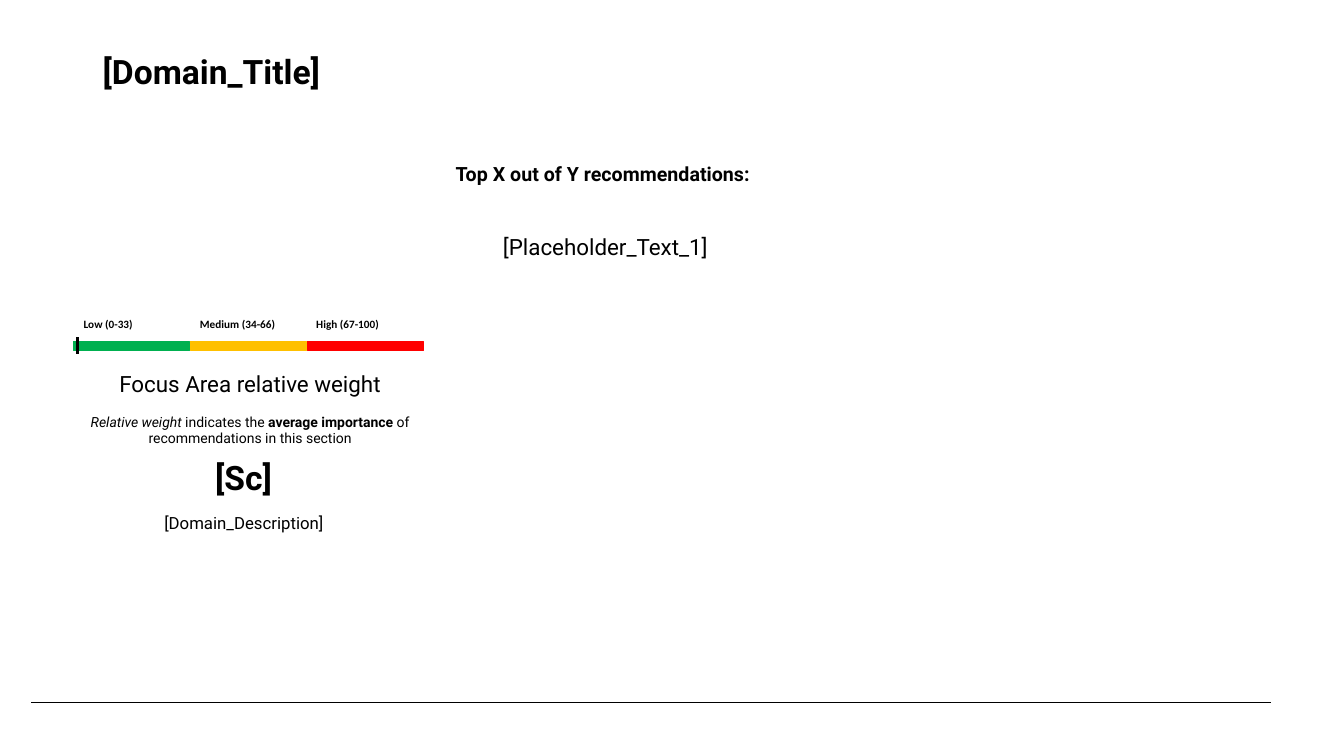
from pptx import Presentation
from pptx.dml.color import RGBColor
from pptx.enum.shapes import MSO_CONNECTOR, MSO_SHAPE
from pptx.enum.text import MSO_AUTO_SIZE, PP_ALIGN
from pptx.oxml.ns import qn
from pptx.util import Inches, Pt
from lxml import etree

STRAIGHT = MSO_CONNECTOR.STRAIGHT
RECTANGLE = MSO_SHAPE.RECTANGLE
GROW = MSO_AUTO_SIZE.SHAPE_TO_FIT_TEXT
LEFT, CENTER = PP_ALIGN.LEFT, PP_ALIGN.CENTER

COLORS = {
    "ink": "000000",
    "low": "00B050",
    "medium": "FFC000",
    "high": "FF0000",
}
LEVELS = [
    ("Low (0-33)", "low"),
    ("Medium (34-66)", "medium"),
    ("High (67-100)", "high"),
]
SCALE_LEFT, BAND_WIDTH, BAND_STEP = 0.73, 1.15, 1.16


class DomainSlide:
    body_font = "Roboto"
    label_font = "Calibri"

    def __init__(self, slide):
        self.shapes = slide.shapes

    def color(self, name):
        return RGBColor.from_string(COLORS[name])

    def style(self, font, size, bold=None, name=None):
        font.name = name or self.body_font
        font.size = Pt(size)
        font.bold = bold
        font.color.rgb = self.color("ink")

    def text(self, box, runs, size, bold=None, align=LEFT):
        """Add one paragraph; runs are (wording, bold, italic) or a plain string."""
        frame = self.shapes.add_textbox(*map(Inches, box)).text_frame
        frame.word_wrap = True
        frame.auto_size = GROW
        paragraph = frame.paragraphs[0]
        paragraph.alignment = align
        self.style(paragraph.font, size, bold)
        if isinstance(runs, str):
            runs = [(runs, None, None)]
        for wording, run_bold, italic in runs:
            run = paragraph.add_run()
            run.text = wording
            run.font.bold = run_bold
            run.font.italic = italic

    def line(self, start, end, width):
        rule = self.shapes.add_connector(STRAIGHT, *map(Inches, start + end))
        rule.line.color.rgb = self.color("ink")
        rule.line.width = Pt(width)
        etree.SubElement(rule._element.spPr, qn("a:effectLst"))

    def band(self, box, color):
        band = self.shapes.add_shape(RECTANGLE, *map(Inches, box))
        band.shadow.inherit = False
        band.fill.solid()
        band.fill.fore_color.rgb = self.color(color)
        band.line.color.rgb = self.color(color)
        band.line.width = Pt(1)

    def label_row(self, box, labels):
        table = self.shapes.add_table(1, len(labels), *map(Inches, box)).table
        table.first_row = table.horz_banding = False
        for cell, label in zip(table.rows[0].cells, labels):
            cell.fill.background()
            cell.text = label
            self.style(cell.text_frame.paragraphs[0].font, 8, True, self.label_font)


def main():
    deck = Presentation()
    deck.slide_width, deck.slide_height = Inches(13.33), Inches(7.5)
    page = DomainSlide(deck.slides.add_slide(deck.slide_layouts[6]))

    page.text((0.92, 0.46, 11.06, 0.5), "[Domain_Title]", 24, True)
    page.line((0.31, 6.97), (12.61, 6.97), 0.5)

    page.text((4.42, 1.56, 6.72, 0.34), "Top X out of Y recommendations:", 14, True)
    page.text((4.89, 2.26, 7.7, 0.37), "[Placeholder_Text_1]", 16)

    for index, (_, color) in enumerate(LEVELS):
        page.band((SCALE_LEFT + index * BAND_STEP, 3.39, BAND_WIDTH, 0.09), color)
    page.line((0.77, 3.33), (0.77, 3.51), 2.5)
    page.label_row((SCALE_LEFT, 3.1, 3.46, 0.21), [label for label, _ in LEVELS])

    page.text((0.42, 3.62, 4.12, 0.37), "Focus Area relative weight", 16, align=CENTER)
    explanation = [
        ("Relative weight ", None, True),
        ("indicates the ", None, None),
        ("average importance", True, None),
        (" of recommendations in this section", None, None),
    ]
    page.text((0.42, 4.05, 4.12, 0.44), explanation, 10, align=CENTER)
    page.text((1.82, 4.48, 1.19, 0.5), "[Sc]", 24, True, CENTER)
    page.text((0.42, 5.04, 4, 0.3), "[Domain_Description]", 12, align=CENTER)

    deck.save("out.pptx")


if __name__ == "__main__":
    main()
